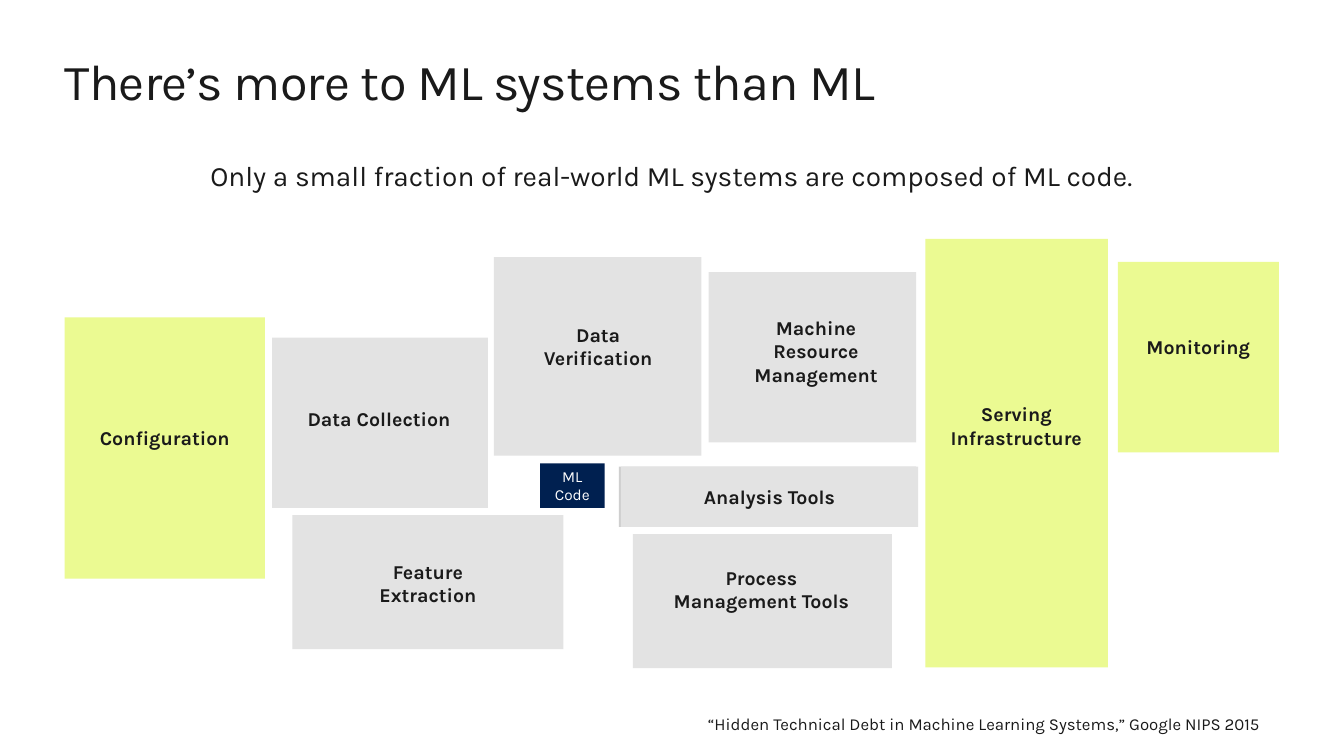
from dataclasses import dataclass

from pptx import Presentation
from pptx.dml.color import RGBColor
from pptx.enum.shapes import MSO_SHAPE as Shape
from pptx.enum.text import MSO_ANCHOR as Anchor, PP_ALIGN as Align
from pptx.util import Cm, Pt

FONT = "Karla"
INK, WHITE, NAVY = "1A1A1A", "FFFFFF", "002050"
LIME, GREY, DARK_GREY = "EBFA92", "E3E3E3", "CFCFCF"
LEFT, WIDTH = 1.63, 30.61
LABEL_HEIGHT, LABEL_INSET = 1.7, 0.33


@dataclass
class Area:
    """Left, top, width and height in centimetres."""
    x: float
    y: float
    w: float
    h: float

    def emu(self):
        return [Cm(v) for v in (self.x, self.y, self.w, self.h)]


@dataclass
class Style:
    size: float
    color: str = INK
    bold: bool = False
    align: Align = Align.CENTER
    anchor: Anchor = Anchor.TOP


@dataclass
class Component:
    lines: list[str]
    block: Area
    label: Area
    fill: str
    style: Style


LABEL = Style(14, bold=True)
LABEL_MIDDLE = Style(14, bold=True, anchor=Anchor.MIDDLE)
CODE = Style(11, WHITE, anchor=Anchor.MIDDLE)


def rgb(value: str) -> RGBColor:
    return RGBColor.from_string(value)


def label_at(x: float, y: float, w: float = 4.45) -> Area:
    return Area(x, y, w, LABEL_HEIGHT)


def write(tf, lines: list[str], style: Style, insets: tuple) -> None:
    tf.word_wrap = True
    tf.vertical_anchor = style.anchor
    tf.margin_left, tf.margin_top, tf.margin_right, tf.margin_bottom = map(Cm, insets)
    for i, line in enumerate(lines):
        p = tf.paragraphs[0] if i == 0 else tf.add_paragraph()
        p.alignment = style.align
        r = p.add_run()
        r.text = line
        r.font.name = FONT
        r.font.size = Pt(style.size)
        r.font.bold = style.bold
        r.font.color.rgb = rgb(style.color)


def add_text(s, area: Area, lines: list[str], style: Style, insets: tuple = (0,) * 4):
    tf = s.shapes.add_textbox(*area.emu()).text_frame
    write(tf, lines, style, insets)
    return tf


def add_block(s, area: Area, fill: str):
    sp = s.shapes.add_shape(Shape.RECTANGLE, *area.emu())
    sp.shadow.inherit = False
    sp.fill.solid()
    sp.fill.fore_color.rgb = rgb(fill)
    sp.line.fill.background()
    return sp


COMPONENTS = [
    Component(["ML", "Code"], Area(13.61, 11.68, 1.63, 1.12),
              Area(13.61, 11.91, 1.63, 0.64), NAVY, CODE),
    Component(["Configuration"], Area(LEFT, 8, 5.05, 6.58),
              label_at(1.93, 10.44), LIME, LABEL),
    Component(["Data Collection"], Area(6.86, 8.51, 5.44, 4.29),
              label_at(7.09, 9.96, 4.93), GREY, LABEL),
    Component(["Feature Extraction"], Area(7.37, 12.98, 6.83, 3.38),
              label_at(8.56, 13.84), GREY, LABEL_MIDDLE),
    Component(["Data", "Verification"], Area(12.45, 6.48, 5.23, 5),
              label_at(12.85, 7.8), GREY, LABEL),
    Component(["Process", "Management Tools"], Area(15.95, 13.46, 6.53, 3.38),
              label_at(15.95, 13.92, 6.48), GREY, LABEL),
    Component(["Machine Resource Management"], Area(17.86, 6.86, 5.23, 4.29),
              label_at(18.34, 7.62), GREY, LABEL),
    Component(["Serving", "Infrastructure"], Area(23.32, 6.02, 4.6, 10.8),
              label_at(23.39, 9.8), LIME, LABEL),
    Component(["Monitoring"], Area(28.17, 6.6, 4.06, 4.8),
              label_at(28.17, 8.13, 4.06), LIME, LABEL),
]


def main() -> None:
    prs = Presentation()
    prs.slide_width, prs.slide_height = Cm(33.87), Cm(19.05)
    s = prs.slides.add_slide(prs.slide_layouts[6])

    # Title and statement
    title = add_text(s, Area(LEFT, 1.27, WIDTH, 1.55),
                     ["There’s more to ML systems than ML"],
                     Style(36, align=Align.LEFT))
    title.paragraphs[0].runs[0].font._element.set("spc", "-50")
    add_text(s, Area(LEFT, 3.99, WIDTH, 0.86),
             ["Only a small fraction of real-world ML systems are composed of ML code."],
             Style(20))

    # System components
    label_insets = (LABEL_INSET,) * 4
    for part in COMPONENTS:
        add_block(s, part.block, part.fill)
        add_text(s, part.label, part.lines, part.style, label_insets)

    # Analysis tools, with a darker edge behind the block
    add_block(s, Area(15.6, 11.76, 7.49, 1.52), DARK_GREY)
    analysis = add_block(s, Area(15.65, 11.76, 7.49, 1.52), GREY)
    write(analysis.text_frame, ["Analysis Tools"], LABEL_MIDDLE, label_insets)

    # Citation
    add_text(s, Area(LEFT, 17.86, WIDTH, 0.76),
             ["“Hidden Technical Debt in Machine Learning Systems,” Google NIPS 2015"],
             Style(12, align=Align.RIGHT), (0.25, 0.13, 0.48, 0.13))

    prs.save("out.pptx")


if __name__ == "__main__":
    main()
